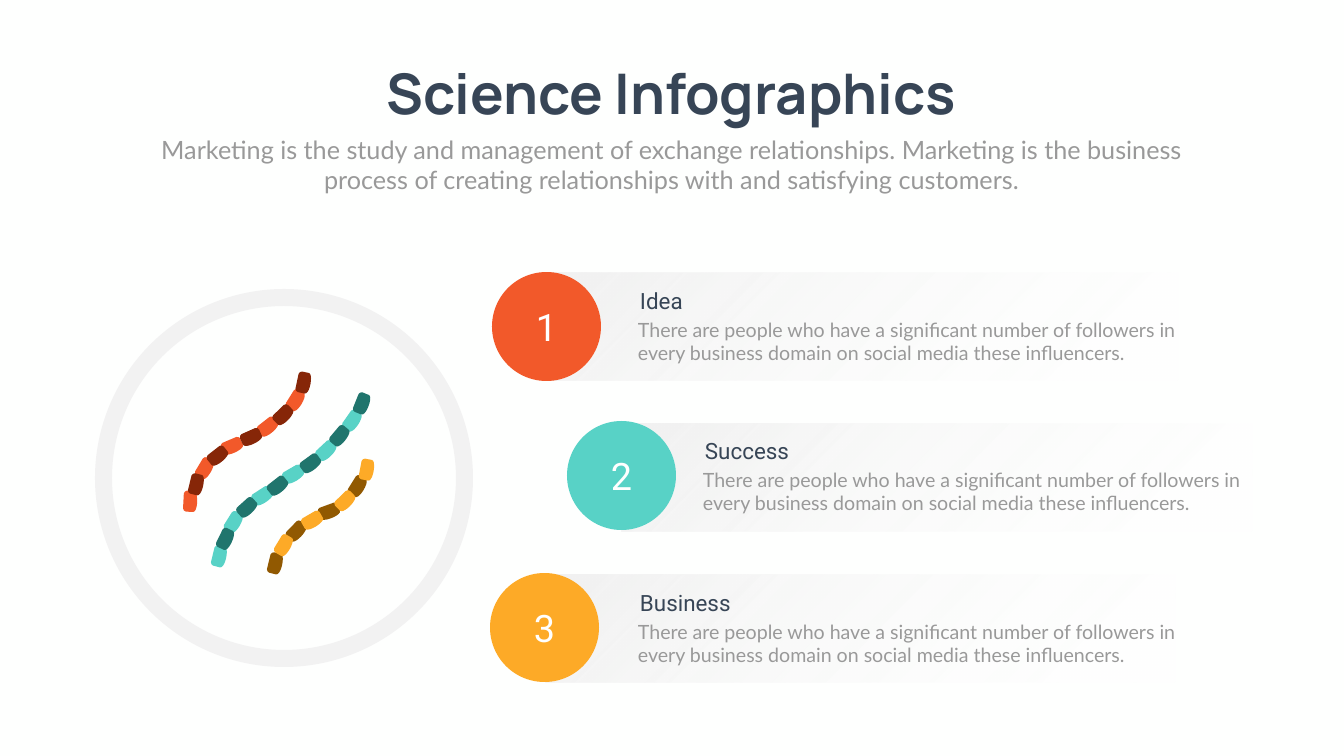
from math import cos, radians, sin

from lxml.etree import SubElement
from pptx import Presentation
from pptx.dml.color import RGBColor
from pptx.enum.shapes import MSO_SHAPE
from pptx.enum.text import MSO_ANCHOR, MSO_AUTO_SIZE, PP_ALIGN
from pptx.oxml.ns import qn
from pptx.util import Emu, Pt

PX = 18143  # EMU in one px

COLOURS = {
    "background": "FEFFFE", "navy": "374556", "grey": "999999",
    "pale": "F2F2F2", "white": "FFFFFF",
    "red": "F2592A", "dark red": "862608",
    "teal": "58D2C6", "dark teal": "20756D",
    "amber": "FDAA27", "brown": "915901",
}

FORMATS = {
    "title": {"size": Pt(80), "name": "Manrope", "bold": True},
    "subtitle": {"size": Pt(36), "name": "Lato"},
    "number": {"size": Pt(54), "name": "Roboto"},
    "heading": {"size": Pt(32), "name": "Roboto"},
    "description": {"size": Pt(28), "name": "Lato"},
}

# Bead outline: (along, across) from its first corner, with a bulging long side
BEAD_CORNERS = [(0, 0), (0, 7), (1, 9), (3, 10), (18, 10), (20, 9), (21, 7)]
BEAD_BULGE = [(21, 0), (21, -5.5), (0, -4.5), (0, 0)]
BULGE_STEPS = 10

DESCRIPTION = ("There are people who have a significant number of followers in "
               "every business domain on social media these influencers.")

# Heading, colour, circle corner, bar corner, heading corner, description width
ITEMS = [
    ("Idea", "red", (492, 272), (548, 273), (635, 285), 572),
    ("Success", "teal", (567, 421), (622, 424), (700, 435), 554),
    ("Business", "amber", (490, 573), (546, 575), (635, 587), 572),
]

# Colours of the lower and upper layer, then each bead from top to bottom
# as x, y and tilt in degrees
STRANDS = [
    ("teal", "dark teal", [
        (369, 395, 22), (361, 414, 35), (349, 430, 40), (336, 446, 47),
        (321, 460, 54), (304, 472, 60), (288, 482, 52), (273, 493, 57),
        (257, 503, 48), (242, 515, 32), (233, 531, 26), (225, 547, 14)]),
    ("brown", "amber", [
        (372, 460, 11), (366, 479, 32), (355, 496, 46), (340, 511, 70),
        (323, 518, 60), (306, 526, 44), (292, 538, 31), (281, 554, 14)]),
    ("red", "dark red", [
        (309, 373, 12), (304, 393, 32), (293, 410, 46), (278, 423, 52),
        (262, 436, 66), (243, 445, 67), (228, 452, 52), (213, 461, 31),
        (202, 475, 14), (194, 491, 3)]),
]


def bead_outline():
    """Corners of a bead followed by points along its bulging side."""
    points = list(BEAD_CORNERS)
    for step in range(BULGE_STEPS):
        t = step / BULGE_STEPS
        weights = ((1 - t) ** 3, 3 * t * (1 - t) ** 2, 3 * t * t * (1 - t), t ** 3)
        points.append(tuple(sum(weight * point[axis] for weight, point
                                in zip(weights, BEAD_BULGE)) for axis in (0, 1)))
    return points


class SlideBuilder:
    def __init__(self, presentation):
        self.slide = presentation.slides.add_slide(presentation.slide_layouts[1])
        fill = self.slide.background.fill
        fill.solid()
        fill.fore_color.rgb = self.colour("background")

    def colour(self, name):
        return RGBColor.from_string(COLOURS[name])

    def set_text(self, shape, text, style, colour, align=PP_ALIGN.LEFT,
                 anchor=MSO_ANCHOR.TOP, wrap=True):
        settings = {"word_wrap": wrap, "vertical_anchor": anchor,
                    "auto_size": MSO_AUTO_SIZE.NONE}
        for name, value in settings.items():
            setattr(shape.text_frame, name, value)
        paragraph = shape.text_frame.paragraphs[0]
        paragraph.alignment = align
        paragraph.space_before = Pt(0)
        run = paragraph.add_run()
        run.text = text
        for name, value in FORMATS[style].items():
            setattr(run.font, name, value)
        run.font.color.rgb = self.colour(colour)
        return paragraph

    def placeholder(self, index, box, text, style, colour, wrap=True):
        shape = self.slide.placeholders[index]
        for name, value in zip(("left", "top", "width", "height"), box):
            setattr(shape, name, Emu(value * PX))
        paragraph = self.set_text(shape, text, style, colour, PP_ALIGN.CENTER, wrap=wrap)
        properties = paragraph._p.get_or_add_pPr()
        properties.set("marL", "0")
        properties.set("indent", "0")
        SubElement(properties, qn("a:buNone"))

    def text(self, box, text, style, colour):
        shape = self.slide.shapes.add_textbox(*(value * PX for value in box))
        self.set_text(shape, text, style, colour)

    def plain(self, shape, colour=None):
        shape.shadow.inherit = False
        shape.line.fill.background()
        if colour:
            shape.fill.solid()
            shape.fill.fore_color.rgb = self.colour(colour)
        return shape

    def shape(self, kind, box, colour=None):
        shape = self.slide.shapes.add_shape(kind, *(value * PX for value in box))
        return self.plain(shape, colour)

    def fading_bar(self, box):
        bar = self.shape(MSO_SHAPE.RECTANGLE, box)
        bar.fill.gradient()
        bar.fill.gradient_angle = 315
        stops = bar.fill.gradient_stops
        for stop, colour, position in zip(stops, ("pale", "white"), (0.05, 1)):
            stop.color.rgb = self.colour(colour)
            stop.position = position
        last_colour = list(bar._element.spPr.iter(qn("a:srgbClr")))[-1]
        SubElement(last_colour, qn("a:alpha")).set("val", "0")

    def numbered_circle(self, box, number, colour):
        circle = self.shape(MSO_SHAPE.OVAL, box, colour)
        self.set_text(circle, number, "number", "white", PP_ALIGN.CENTER,
                      MSO_ANCHOR.MIDDLE)

    def bead(self, x, y, tilt, colour):
        sine, cosine = sin(radians(tilt)), cos(radians(tilt))
        points = [(round((x - along * sine - across * cosine) * PX),
                   round((y + along * cosine - across * sine) * PX))
                  for along, across in bead_outline()]
        builder = self.slide.shapes.build_freeform(*points[0], scale=1.0)
        builder.add_line_segments(points[1:], close=True)
        self.plain(builder.convert_to_shape(), colour)


def main():
    presentation = Presentation()
    presentation.slide_width = Emu(1344 * PX)
    presentation.slide_height = Emu(756 * PX)
    builder = SlideBuilder(presentation)

    # Title and subtitle
    builder.placeholder(0, (361, 56, 621, 73), "Science Infographics",
                        "title", "navy", wrap=False)
    builder.placeholder(1, (147, 132, 1049, 66),
                        "Marketing is the study and management of exchange "
                        "relationships. Marketing is the business process of "
                        "creating relationships with and satisfying customers.",
                        "subtitle", "grey")

    # Ring around the strands
    ring = builder.shape(MSO_SHAPE.DONUT, (95, 289, 378, 378), "pale")
    ring.adjustments[0] = 0.045

    # Numbered items
    for number, item in enumerate(ITEMS, start=1):
        heading, colour, circle, bar, (left, top), width = item
        builder.fading_bar((*bar, 630, 108))
        builder.numbered_circle((*circle, 109, 109), str(number), colour)
        builder.text((left, top, 270, 32), heading, "heading", "navy")
        builder.text((left - 2, top + 30, width, 52), DESCRIPTION,
                     "description", "grey")

    # Bead strands: the upper layer holds every other bead from the top
    for lower, upper, beads in STRANDS:
        for colour, layer in ((lower, beads[1::2]), (upper, beads[::2])):
            for bead in layer:
                builder.bead(*bead, colour)

    presentation.save("out.pptx")


if __name__ == "__main__":
    main()
